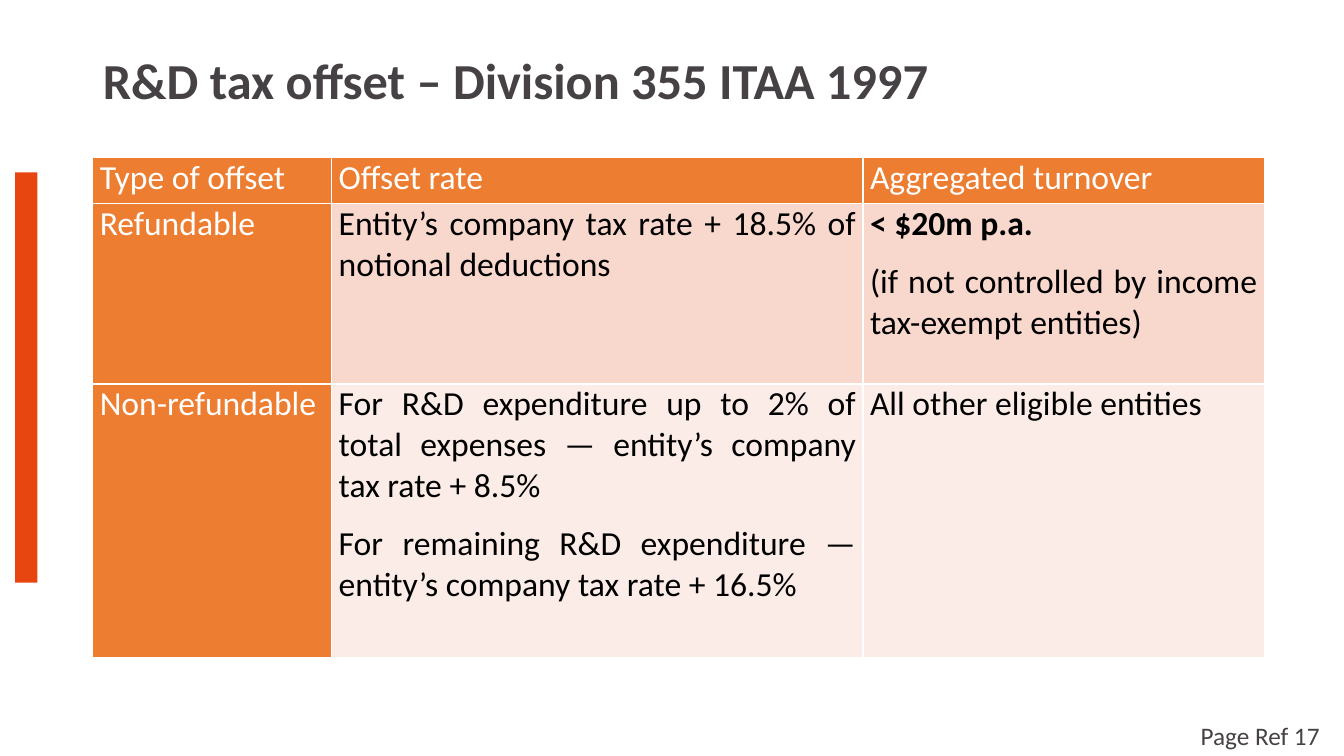
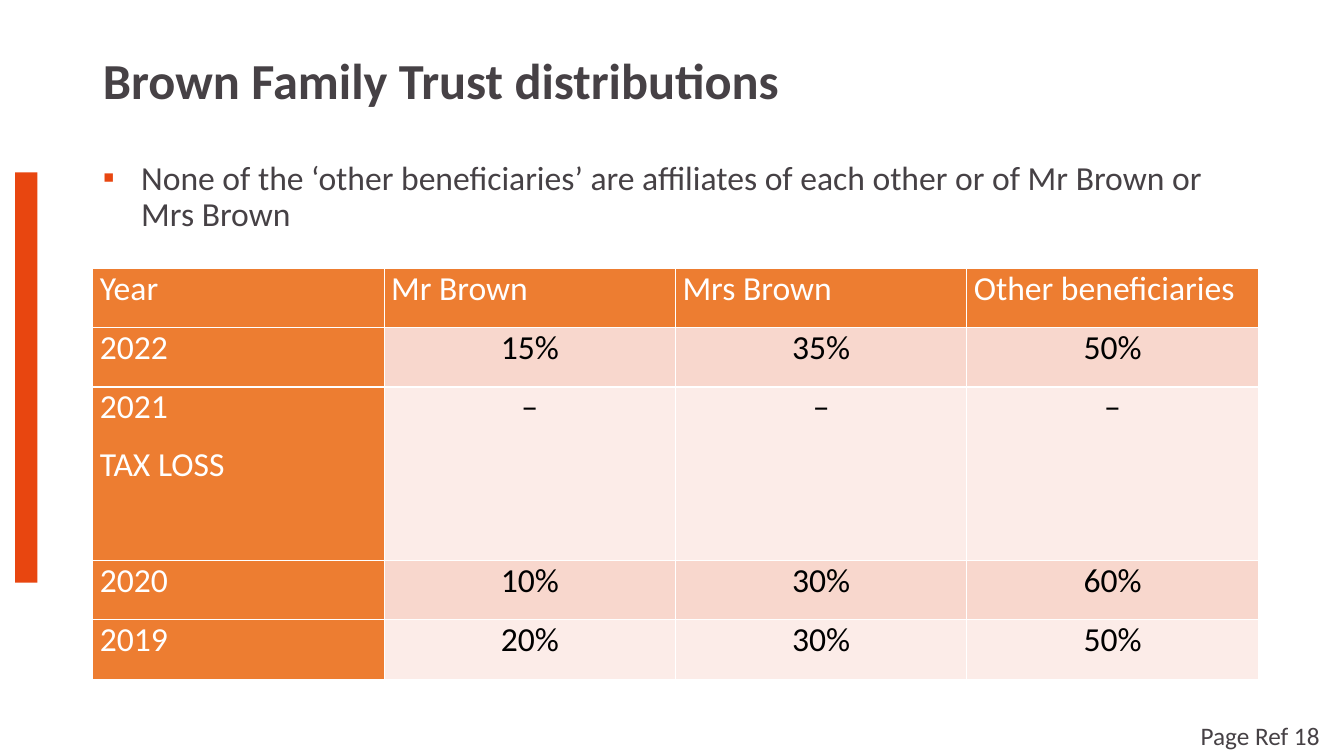
import pptx
import pptx.util
import pptx.dml.color
import pptx.enum.shapes
import pptx.enum.text
import pptx.oxml
import pptx.oxml.ns

# Content
SLIDES = [
    {
        "title": "R&D tax offset – Division 355 ITAA 1997",
        "bullet": None,
        "page": "Page Ref 17",
        "top": 156,
        "cols": [237, 527, 398],
        "rows": [46, 179, 271],
        "align": "JUSTIFY",
        "cells": [
            ["Type of offset", "Offset rate", "Aggregated turnover"],
            ["Refundable",
             "Entity’s company tax rate + 18.5% of notional deductions",
             "< $20m p.a.\n(if not controlled by income tax-exempt entities)"],
            ["Non-refundable",
             "For R&D expenditure up to 2% of total expenses — entity’s "
             "company tax rate + 8.5%\n"
             "For remaining R&D expenditure — entity’s company tax rate + 16.5%",
             "All other eligible entities"],
        ],
    },
    {
        "title": "Brown Family Trust distributions",
        "bullet": "None of the ‘other beneficiaries’ are affiliates of each "
                  "other or of Mr Brown or Mrs Brown",
        "page": "Page Ref 18",
        "top": 266,
        "cols": [289] * 4,
        "rows": [59, 59, 172, 59, 59],
        "align": "CENTER",
        "cells": [
            ["Year", "Mr Brown", "Mrs Brown", "Other beneficiaries"],
            ["2022", "15%", "35%", "50%"],
            ["2021\nTAX LOSS", "–", "–", "–"],
            ["2020", "10%", "30%", "60%"],
            ["2019", "20%", "30%", "50%"],
        ],
    },
]
BOLD = {"< $20m p.a."}

# Shared style
FONT = "Calibri"
WHITE, BLACK, GREY = "FFFFFF", "000000", "464145"
RED, HEAD, BANDS = "E84610", "ED7D31", ["F8D7CD", "FCECE8"]
LEFT, WIDE = 92, 1150
ALIGN = pptx.enum.text.PP_ALIGN
FIT = pptx.enum.text.MSO_AUTO_SIZE
NS = pptx.oxml.ns.nsdecls("a")


def px(n):
    return pptx.util.Emu(n * 9144)


def rgb(code):
    return pptx.dml.color.RGBColor.from_string(code)


def style(par, size, color, bold=False, align=ALIGN.LEFT):
    par.alignment = align
    font = par.font
    font.name, font.size, font.bold = FONT, pptx.util.Pt(size), bold
    font.color.rgb = rgb(color)


def place(shape, *box):
    shape.left, shape.top, shape.width, shape.height = map(px, box)


def add_bar(slide, master):
    """Draw the side bar and move it to the master, behind everything."""
    bar = slide.shapes.add_shape(
        pptx.enum.shapes.MSO_SHAPE.RECTANGLE, *map(px, (15, 171, 22, 407)))
    bar.shadow.inherit = False
    bar.fill.solid()
    bar.fill.fore_color.rgb = rgb(RED)
    bar.line.fill.background()
    master.shapes.element.insert(2, bar.element)


def add_title(slide, text):
    title = slide.shapes.title
    place(title, LEFT, 40, WIDE, 85)
    title.text = text
    frame = title.text_frame
    frame.auto_size = FIT.NONE
    frame.vertical_anchor = pptx.enum.text.MSO_ANCHOR.MIDDLE
    par = frame.paragraphs[0]
    par.line_spacing = 0.9
    style(par, 36, GREY, True)


def add_bullet(slide, text):
    body = slide.placeholders[1]
    place(body, LEFT, 155, WIDE, 491)
    body.text = text
    body.text_frame.auto_size = FIT.NONE
    par = body.text_frame.paragraphs[0]
    par.line_spacing, par.space_before = 0.9, pptx.util.Pt(10)
    props = par._p.get_or_add_pPr()
    props.set("marL", str(px(38)))
    props.set("indent", str(-px(38)))
    for xml in (f'<a:buClr {NS}><a:srgbClr val="{RED}"/></a:buClr>',
                f'<a:buChar {NS} char="▪"/>'):
        props.append(pptx.oxml.parse_xml(xml))
    style(par, 24, GREY)


def fill_cell(cell, text, fill, color, align):
    cell.margin_left = cell.margin_right = px(7)
    cell.margin_top = cell.margin_bottom = 0
    cell.fill.solid()
    cell.fill.fore_color.rgb = rgb(fill)
    props = cell._tc.get_or_add_tcPr()
    for i, side in enumerate("LRTB"):
        props.insert(i, pptx.oxml.parse_xml(
            f'<a:ln{side} {NS} w="12700"><a:solidFill>'
            f'<a:srgbClr val="{WHITE}"/></a:solidFill></a:ln{side}>'))
    cell.text = text
    for par in cell.text_frame.paragraphs:
        par.space_before = par.space_after = pptx.util.Pt(6)
        style(par, 24, color, par.text in BOLD, align)


def add_grid(slide, data):
    cols, rows = data["cols"], data["rows"]
    box = LEFT, data["top"], sum(cols), sum(rows)
    grid = slide.shapes.add_table(len(rows), len(cols), *map(px, box)).table
    grid.horz_banding = False
    for col, width in zip(grid.columns, cols):
        col.width = px(width)
    for r, line in enumerate(data["cells"]):
        grid.rows[r].height = px(rows[r])
        for c, text in enumerate(line):
            if r == 0 or c == 0:
                look = HEAD, WHITE, ALIGN.LEFT
            else:
                look = BANDS[(r - 1) % 2], BLACK, ALIGN[data["align"]]
            fill_cell(grid.cell(r, c), text, *look)


def add_page(slide, text):
    box = slide.shapes.add_textbox(*map(px, (1181, 710, 152, 40)))
    frame = box.text_frame
    frame.word_wrap, frame.auto_size = True, FIT.SHAPE_TO_FIT_TEXT
    frame.text = text
    style(frame.paragraphs[0], 18, GREY)


def main():
    deck = pptx.Presentation()
    deck.slide_width, deck.slide_height = px(1333), px(750)
    for i, data in enumerate(SLIDES):
        layout = deck.slide_layouts[1 if data["bullet"] else 5]
        slide = deck.slides.add_slide(layout)
        if i == 0:
            add_bar(slide, deck.slide_master)
        add_title(slide, data["title"])
        if data["bullet"]:
            add_bullet(slide, data["bullet"])
        add_grid(slide, data)
        add_page(slide, data["page"])
    deck.save("out.pptx")


if __name__ == "__main__":
    main()
